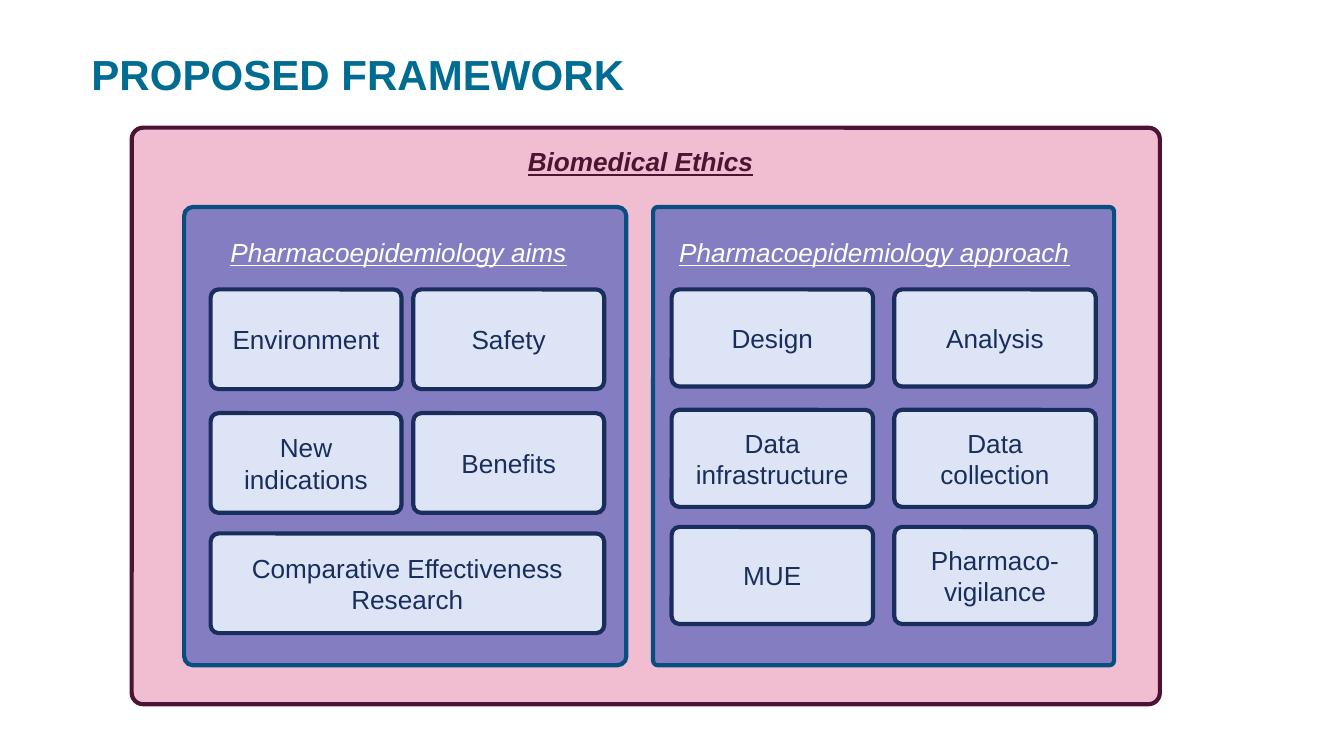
from dataclasses import dataclass

from pptx import Presentation
from pptx.dml.color import RGBColor
from pptx.enum.shapes import MSO_SHAPE
from pptx.enum.text import MSO_ANCHOR, PP_ALIGN
from pptx.util import Inches, Pt

COLORS = {
    "title": "006C92",
    "white": "FFFFFF",
    "ethics_fill": "F1BDD1",
    "ethics_line": "4D1332",
    "panel_fill": "847DC2",
    "panel_line": "094E81",
    "card_fill": "DDE4F6",
    "card_line": "192E5C",
}
ROW_TOPS = (0, 0.36, 0.71)
CARD_HEIGHT = 0.29


@dataclass
class Box:
    left: float
    top: float
    width: float
    height: float

    def share(self, x, y, w, h):
        return Box(self.left + x * self.width, self.top + y * self.height,
                   w * self.width, h * self.height)

    def emu(self):
        return [Inches(n) for n in (self.left, self.top, self.width, self.height)]


def color(name):
    return RGBColor.from_string(COLORS[name])


def write(frame, text, ink, size=14, align=PP_ALIGN.CENTER, **style):
    frame.word_wrap = True
    frame.text = text
    paragraph = frame.paragraphs[0]
    paragraph.alignment = align
    font = paragraph.runs[0].font
    font.name = "Arial"
    font.size = Pt(size)
    font.color.rgb = color(ink)
    for key, value in style.items():
        setattr(font, key, value)


def add_rounded(slide, box, role, rounding):
    rounded = slide.shapes.add_shape(MSO_SHAPE.ROUNDED_RECTANGLE, *box.emu())
    rounded.adjustments[0] = rounding
    rounded.shadow.inherit = False
    rounded.fill.solid()
    rounded.fill.fore_color.rgb = color(f"{role}_fill")
    rounded.line.color.rgb = color(f"{role}_line")
    rounded.line.width = Pt(2.25)
    return rounded


def add_heading(slide, box, text, ink, **style):
    heading = slide.shapes.add_textbox(*box.emu())
    write(heading.text_frame, text, ink, italic=True, underline=True, **style)


def add_title(slide, box):
    title = slide.shapes.title
    title.left, title.top, title.width, title.height = box.emu()
    title.fill.solid()
    title.fill.fore_color.rgb = color("white")
    frame = title.text_frame
    frame.margin_left = Inches(0.5)
    frame.margin_top = frame.margin_right = frame.margin_bottom = 0
    frame.vertical_anchor = MSO_ANCHOR.MIDDLE
    write(frame, "PROPOSED FRAMEWORK", "title", 22.5, PP_ALIGN.LEFT, bold=True)


def add_ethics(slide, box):
    add_rounded(slide, box, "ethics", 0.02)
    add_heading(slide, box.share(0.3, 0.02, 0.39, 0.08),
                "Biomedical Ethics", "ethics_line", bold=True)


def add_cards(slide, box, rows, gap):
    for top, labels in zip(ROW_TOPS, rows):
        width = (1 - gap * (len(labels) - 1)) / len(labels)
        for column, label in enumerate(labels):
            cell = box.share(column * (width + gap), top, width, CARD_HEIGHT)
            card = add_rounded(slide, cell, "card", 0.08)
            card.text_frame.vertical_anchor = MSO_ANCHOR.MIDDLE
            write(card.text_frame, label, "card_line")


def add_panel(slide, box, rounding, heading, heading_area, card_area, rows, gap):
    add_rounded(slide, box, "panel", rounding)
    add_heading(slide, box.share(*heading_area), heading, "white")
    add_cards(slide, box.share(*card_area), rows, gap)


def main():
    deck = Presentation()
    deck.slide_width = Inches(10)
    deck.slide_height = deck.slide_width * 9 // 16
    slide = deck.slides.add_slide(deck.slide_layouts[5])
    add_title(slide, Box(0.18, 0.21, 9.53, 0.67))
    add_ethics(slide, Box(0.98, 0.95, 7.65, 4.29))
    add_panel(
        slide, Box(1.37, 1.54, 3.29, 3.41), 0.02, "Pharmacoepidemiology aims",
        (0.04, 0.05, 0.89, 0.1), (0.06, 0.18, 0.89, 0.75),
        [("Environment", "Safety"), ("New indications", "Benefits"),
         ("Comparative Effectiveness Research",)], 0.03)
    add_panel(
        slide, Box(4.86, 1.54, 3.43, 3.41), 0.01, "Pharmacoepidemiology approach",
        (0, 0.05, 0.96, 0.1), (0.04, 0.18, 0.92, 0.73),
        [("Design", "Analysis"), ("Data infrastructure", "Data collection"),
         ("MUE", "Pharmaco-vigilance")], 0.05)
    deck.save("out.pptx")


if __name__ == "__main__":
    main()
